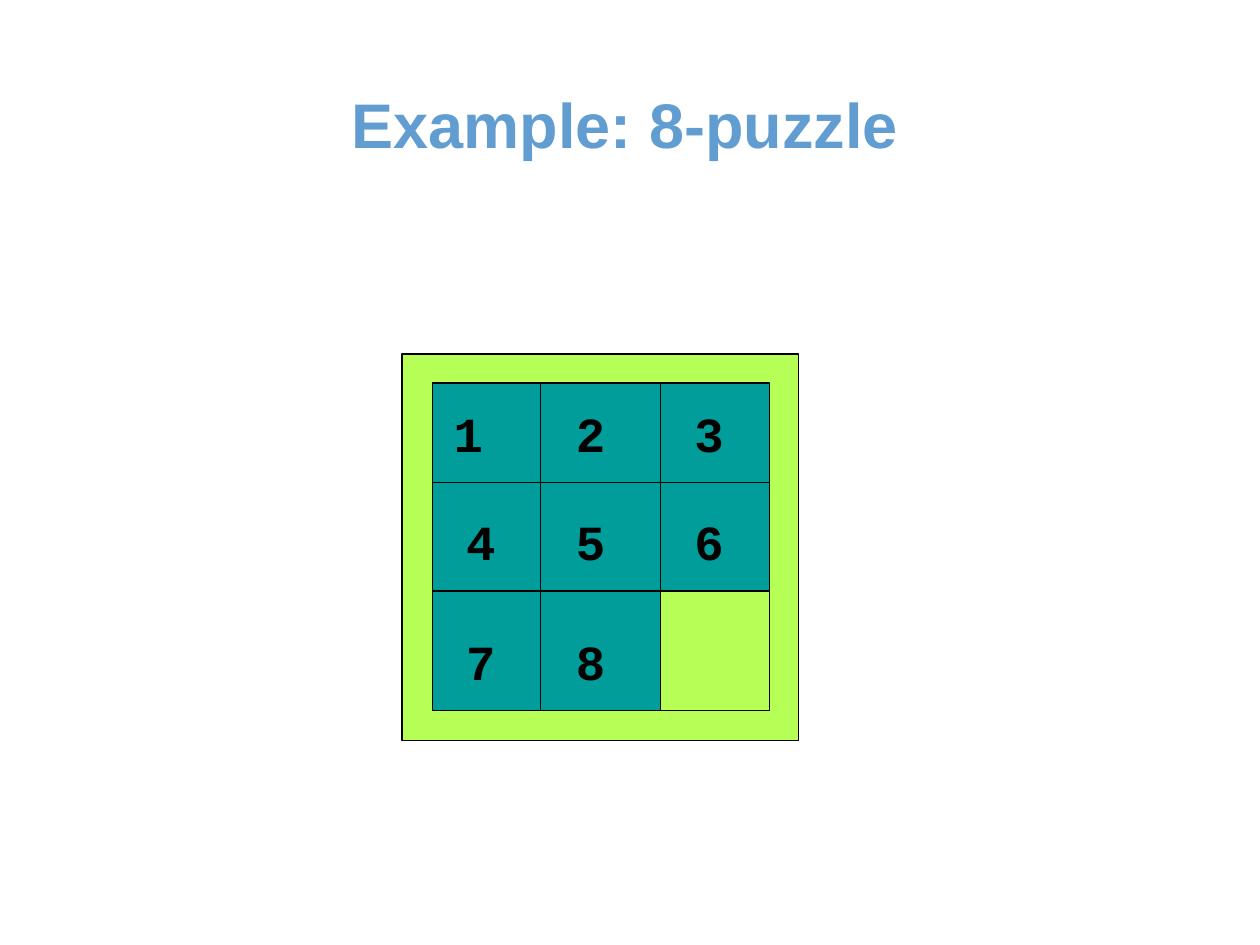
"""Build the 8-puzzle example slide."""
from dataclasses import dataclass

from lxml import etree
from pptx import Presentation
from pptx import util as u
from pptx.dml.color import RGBColor
from pptx.enum import shapes, text
from pptx.oxml.ns import qn

PX = 9144
BLACK = RGBColor(0x00, 0x00, 0x00)
TITLE_BLUE = RGBColor(0x62, 0x9D, 0xD1)
LIME = RGBColor(0xB6, 0xFF, 0x57)
TEAL = RGBColor(0x00, 0x9D, 0x9A)


@dataclass(frozen=True)
class Box:
    left: int
    top: int
    width: int
    height: int

    def emu(self) -> list[int]:
        return [value * PX for value in (self.left, self.top, self.width, self.height)]


TITLE = Box(42, 25, 908, 108)
FRAME = Box(319, 281, 315, 307)
COLUMN_EDGES = (343, 429, 524, 611)
ROW_EDGES = (304, 383, 469, 564)
BOARD = Box(343, 304, 268, 260)
BLANK = Box(524, 469, 87, 95)
DIGIT_LEFTS = (366, 453, 547)
DIGIT_TOPS = (320, 406, 501)
ONE_SHIFT = 10


def set_attributes(target, values: dict) -> None:
    for name, value in values.items():
        setattr(target, name, value)


def format_font(font, name: str, size: int, color: RGBColor) -> None:
    set_attributes(font, {"name": name, "size": u.Pt(size), "bold": True})
    font.color.rgb = color


def format_line(line) -> None:
    line.color.rgb = BLACK
    line.width = u.Pt(0.75)


def add_rectangle(slide, box: Box, fill: RGBColor) -> None:
    shape = slide.shapes.add_shape(shapes.MSO_SHAPE.RECTANGLE, *box.emu())
    shape.shadow.inherit = False
    shape.fill.solid()
    shape.fill.fore_color.rgb = fill
    format_line(shape.line)


def add_divider(slide, left: int, top: int, right: int, bottom: int) -> None:
    ends = [value * PX for value in (left, top, right, bottom)]
    connector = slide.shapes.add_connector(shapes.MSO_CONNECTOR.STRAIGHT, *ends)
    format_line(connector.line)
    etree.SubElement(connector._element.spPr, qn("a:effectLst"))


def add_digit(slide, digit: int) -> None:
    row, column = divmod(digit - 1, 3)
    left = DIGIT_LEFTS[column] - (ONE_SHIFT if digit == 1 else 0)
    shape = slide.shapes.add_textbox(*Box(left, DIGIT_TOPS[row], 42, 54).emu())
    set_attributes(shape.text_frame, {
        "word_wrap": True, "margin_left": 4 * PX, "margin_right": 4 * PX,
        "margin_top": 0, "margin_bottom": 0,
    })
    paragraph = shape.text_frame.paragraphs[0]
    paragraph.text = str(digit)
    format_font(paragraph.runs[0].font, "Courier New", 28, BLACK)


def add_title(slide, wording: str) -> None:
    title = slide.shapes.title
    set_attributes(title, dict(zip(("left", "top", "width", "height"), TITLE.emu())))
    set_attributes(title.text_frame, {
        "text": wording, "word_wrap": True, "auto_size": text.MSO_AUTO_SIZE.NONE,
        "vertical_anchor": text.MSO_ANCHOR.BOTTOM,
    })
    paragraph = title.text_frame.paragraphs[0]
    paragraph.alignment = text.PP_ALIGN.CENTER
    format_font(paragraph.runs[0].font, "Arial", 36, TITLE_BLUE)


def main() -> None:
    presentation = Presentation()
    presentation.slide_width, presentation.slide_height = 1000 * PX, 750 * PX
    slide = presentation.slides.add_slide(presentation.slide_layouts[5])
    add_title(slide, "Example: 8-puzzle")
    add_rectangle(slide, FRAME, LIME)
    add_rectangle(slide, BOARD, TEAL)
    for edge in COLUMN_EDGES[1:-1]:
        add_divider(slide, edge, ROW_EDGES[0], edge, ROW_EDGES[-1])
    for edge in ROW_EDGES[1:-1]:
        add_divider(slide, COLUMN_EDGES[0], edge, COLUMN_EDGES[-1], edge)
    for digit in range(1, 9):
        add_digit(slide, digit)
    add_rectangle(slide, BLANK, LIME)
    presentation.save("out.pptx")


if __name__ == "__main__":
    main()
